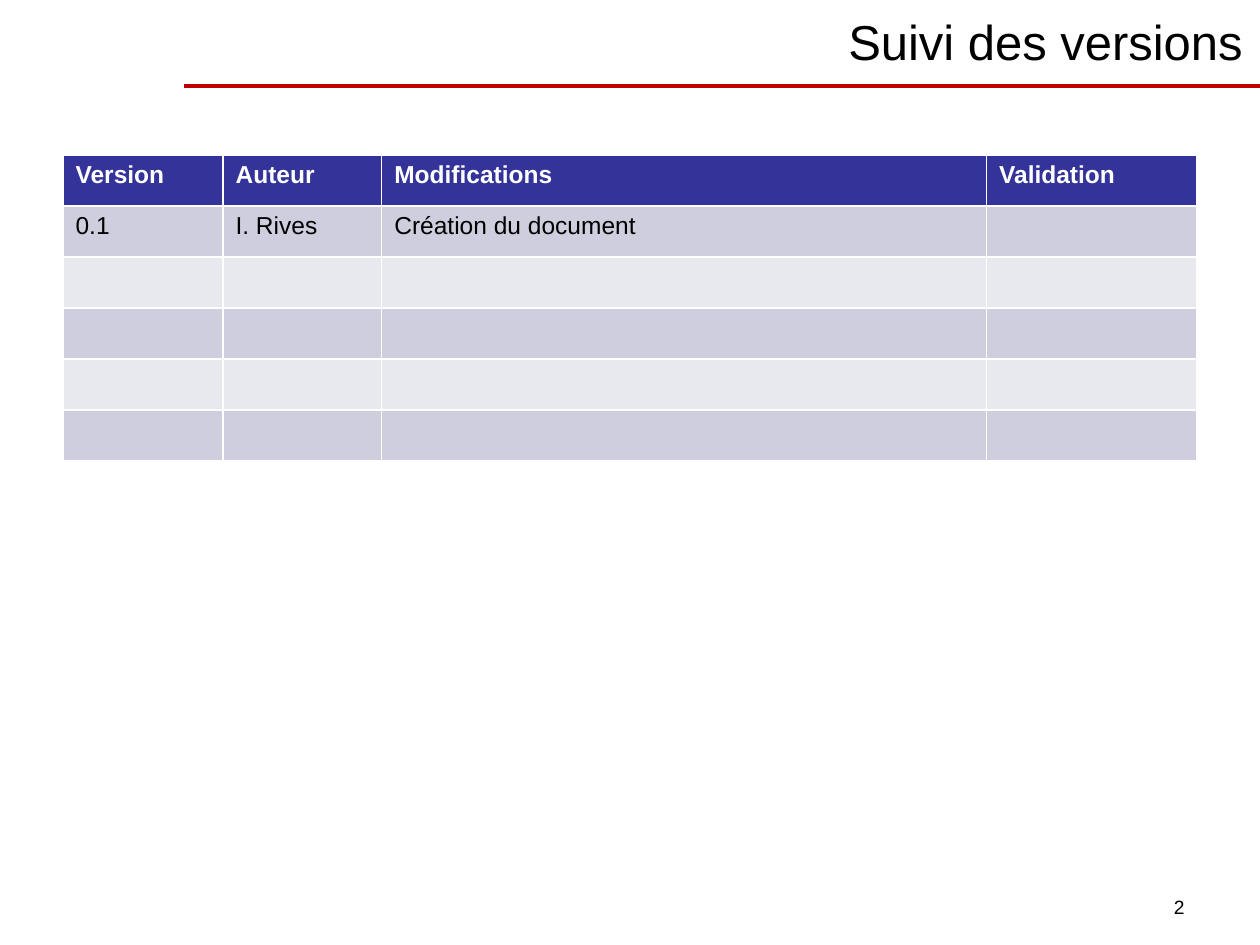
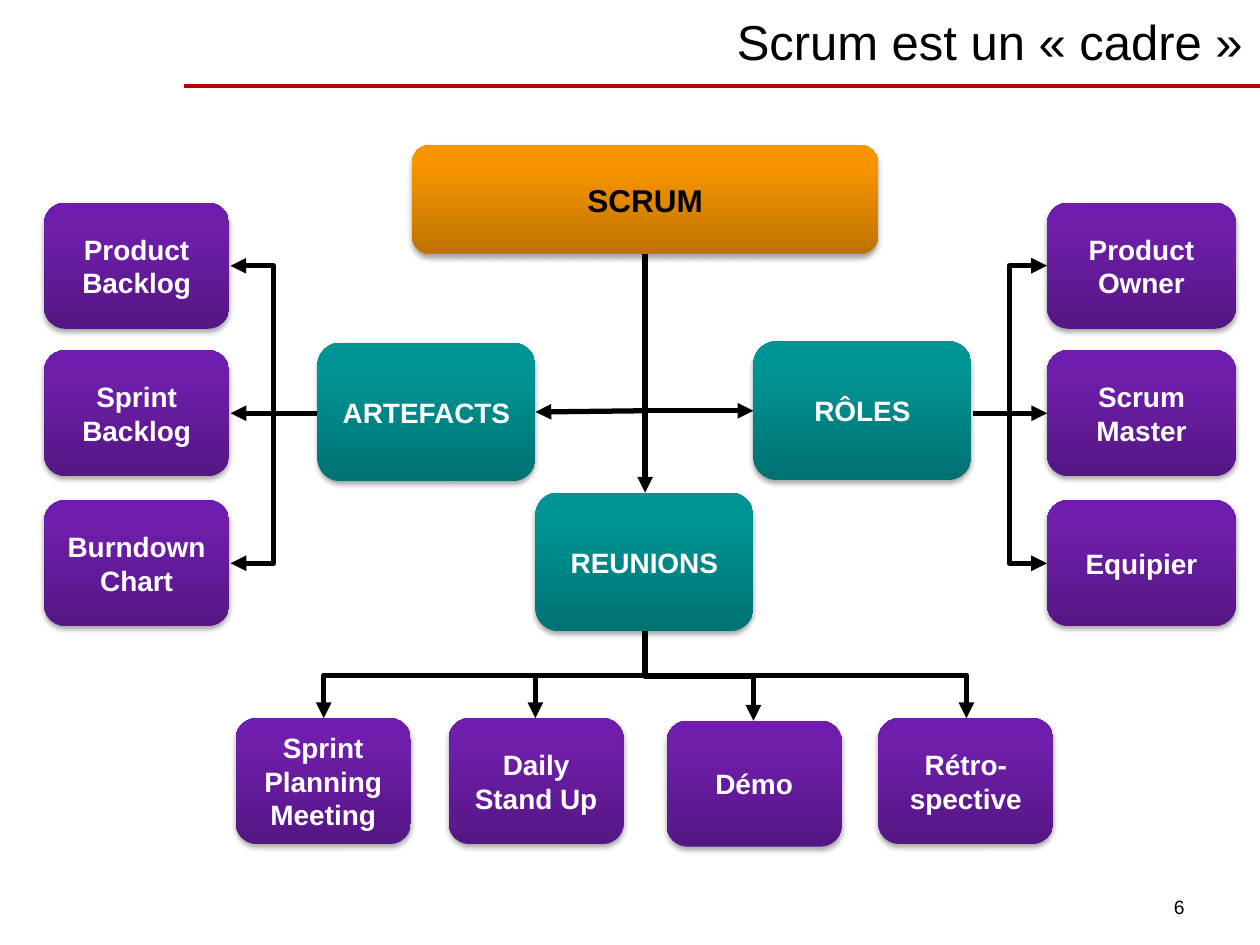
import pptx
import pptx.util
import pptx.dml.color
import pptx.enum.shapes
import pptx.enum.text
import pptx.oxml
import pptx.oxml.ns
import lxml.etree

Inches = pptx.util.Inches
Pt = pptx.util.Pt
ALIGN = pptx.enum.text.PP_ALIGN
ANCHOR = pptx.enum.text.MSO_ANCHOR
CONNECTOR = pptx.enum.shapes.MSO_CONNECTOR
DRAWING = pptx.oxml.ns.nsdecls("a")

COLORS = {
    "text": "000000", "light": "FFFFFF", "rule": "C00000",
    "header": "333399", "odd": "CECEDE", "even": "E8E8EF",
}
# Gradient stops from bottom to top
GRADIENTS = {
    "orange": ((0, "BE7200"), (80, "F79400"), (100, "F89500")),
    "teal": ((0, "007272"), (80, "009494"), (100, "009595")),
    "purple": ((0, "551784"), (80, "6F1EAB"), (100, "701CAF")),
}


class Deck:
    font = "Arial"

    def __init__(self):
        self.presentation = pptx.Presentation()
        self.presentation.slide_width = Inches(10)
        self.presentation.slide_height = Inches(7.5)
        self.slide = None

    def color(self, name):
        return pptx.dml.color.RGBColor.from_string(COLORS[name])

    def set_text(self, frame, text, size, color="text", bold=False, align=ALIGN.LEFT):
        frame.word_wrap = True
        paragraph = frame.paragraphs[0]
        paragraph.text = text
        paragraph.alignment = align
        paragraph.font.name = self.font
        paragraph.font.size = Pt(size)
        paragraph.font.bold = bold
        paragraph.font.color.rgb = self.color(color)

    def text(self, left, top, width, height, text, size, anchor=ANCHOR.TOP):
        box = self.slide.shapes.add_textbox(*map(Inches, (left, top, width, height)))
        box.text_frame.vertical_anchor = anchor
        self.set_text(box.text_frame, text, size, align=ALIGN.RIGHT)

    def new_slide(self, title, number):
        self.slide = self.presentation.slides.add_slide(self.presentation.slide_layouts[6])
        self.line((1.46, 0.68), (10, 0.68), "rule", 2.25)
        self.text(2.32, -0.03, 7.64, 0.71, title, 28, ANCHOR.MIDDLE)
        self.text(7.17, 7.06, 2.33, 0.29, str(number), 11)

    def line(self, start, end, color="text", width=3, kind=CONNECTOR.STRAIGHT):
        connector = self.slide.shapes.add_connector(kind, *map(Inches, (*start, *end)))
        connector.line.color.rgb = self.color(color)
        connector.line.width = Pt(width)
        lxml.etree.SubElement(connector._element.spPr, pptx.oxml.ns.qn("a:effectLst"))
        return connector

    def arrow(self, start, end, kind=CONNECTOR.STRAIGHT):
        connector = self.line(start, end, kind=kind)
        outline = connector._element.spPr.find(pptx.oxml.ns.qn("a:ln"))
        outline.append(pptx.oxml.parse_xml(f'<a:tailEnd {DRAWING} type="triangle"/>'))
        return connector

    def bent_arrow(self, start, end, vertical_first=False, corners=1):
        """Elbow arrow; one that starts vertically is laid flat, then turned 90 degrees."""
        if vertical_first:
            center_x, center_y = (start[0] + end[0]) / 2, (start[1] + end[1]) / 2
            half_x, half_y = (end[0] - start[0]) / 2, (end[1] - start[1]) / 2
            start = (center_x - half_y, center_y + half_x)
            end = (center_x + half_y, center_y - half_x)
        properties = self.arrow(start, end, CONNECTOR.ELBOW)._element.spPr
        properties.find(pptx.oxml.ns.qn("a:prstGeom")).set("prst", f"bentConnector{corners + 1}")
        if vertical_first:
            properties.find(pptx.oxml.ns.qn("a:xfrm")).set("rot", "5400000")

    def box(self, left, top, width, height, text, gradient, size=16, color="light"):
        shape = self.slide.shapes.add_shape(
            pptx.enum.shapes.MSO_SHAPE.ROUNDED_RECTANGLE,
            *map(Inches, (left, top, width, height)))
        shape.line.fill.background()
        stops = "".join(
            f'<a:gs pos="{position * 1000}"><a:srgbClr val="{value}"/></a:gs>'
            for position, value in GRADIENTS[gradient])
        outline = shape._element.spPr.find(pptx.oxml.ns.qn("a:ln"))
        outline.addprevious(pptx.oxml.parse_xml(
            f'<a:gradFill {DRAWING} rotWithShape="1"><a:gsLst>{stops}</a:gsLst>'
            '<a:lin ang="16200000" scaled="0"/></a:gradFill>'))
        outline.addnext(pptx.oxml.parse_xml(
            f'<a:effectLst {DRAWING}><a:outerShdw blurRad="{Pt(3.1)}" dist="{Pt(1.8)}" '
            f'dir="5400000" rotWithShape="0"><a:srgbClr val="{COLORS["text"]}">'
            '<a:alpha val="35000"/></a:srgbClr></a:outerShdw></a:effectLst>'))
        shape.text_frame.vertical_anchor = ANCHOR.MIDDLE
        self.set_text(shape.text_frame, text, size, color, True, ALIGN.CENTER)

    def table(self, left, top, widths, row_height, rows):
        table = self.slide.shapes.add_table(
            len(rows), len(widths), Inches(left), Inches(top),
            Inches(sum(widths)), Inches(row_height * len(rows))).table
        for column, width in zip(table.columns, widths):
            column.width = Inches(width)
        for index, values in enumerate(rows):
            table.rows[index].height = Inches(row_height)
            header = index == 0
            fill = "header" if header else "odd" if index % 2 else "even"
            for cell, value in zip(table.rows[index].cells, values):
                cell.fill.solid()
                cell.fill.fore_color.rgb = self.color(fill)
                self.set_text(cell.text_frame, value, 14, "light" if header else "text", header)


deck = Deck()

# Version history
deck.new_slide("Suivi des versions", 2)
deck.table(0.5, 1.23, (1.27, 1.26, 4.8, 1.67), 0.405, [
    ("Version", "Auteur", "Modifications", "Validation"),
    ("0.1", "I. Rives", "Création du document", ""),
    *[("",) * 4] * 4,
])

# Scrum framework: main boxes
deck.new_slide("Scrum est un «\u00a0cadre\u00a0»", 6)
deck.box(3.27, 1.15, 3.7, 0.87, "SCRUM", "orange", 18, "text")
for left, top, name in ((2.52, 2.72, "ARTEFACTS"), (4.25, 3.91, "REUNIONS"), (5.98, 2.71, "RÔLES")):
    deck.box(left, top, 1.73, 1.1, name, "teal")

# Artefacts on the left, roles on the right
side_tops = (1.61, 2.78, 3.97)
artefacts = ("Product Backlog", "Sprint Backlog", "Burndown Chart")
roles = ("Product Owner", "Scrum Master", "Equipier")
for left, width, names in ((0.35, 1.47, artefacts), (8.31, 1.5, roles)):
    for top, name in zip(side_tops, names):
        deck.box(left, top, width, 1, name, "purple")

# Meetings along the bottom
meetings = (
    (1.87, 5.7, "Sprint Planning Meeting"), (3.56, 5.7, "Daily Stand Up"),
    (5.29, 5.72, "Démo"), (6.97, 5.7, "Rétro-spective"),
)
for left, top, name in meetings:
    deck.box(left, top, 1.39, 1, name, "purple")

# Arrows from SCRUM to the main boxes
center = 5.12
deck.arrow((center, 2.02), (center, 3.91))
deck.arrow((center, 3.26), (5.98, 3.26))
deck.arrow((center, 3.26), (4.25, 3.27))

# Arrows to the artefacts and the roles
for start, trunk, end in ((2.52, 2.17, 1.83), (7.72, 8.01, 8.31)):
    deck.arrow((start, 3.28), (end, 3.28))
    for top in (side_tops[0], side_tops[2]):
        deck.bent_arrow((trunk, 3.28), (end, top + 0.5), vertical_first=True)

# Arrows to the meetings
branch = 5.36
deck.bent_arrow((center, 5.01), (5.98, 5.72), vertical_first=True, corners=2)
for start, end in ((5.98, 7.67), (center, 4.25), (4.25, 2.57)):
    deck.bent_arrow((start, branch), (end, 5.7))

deck.presentation.save("out.pptx")
